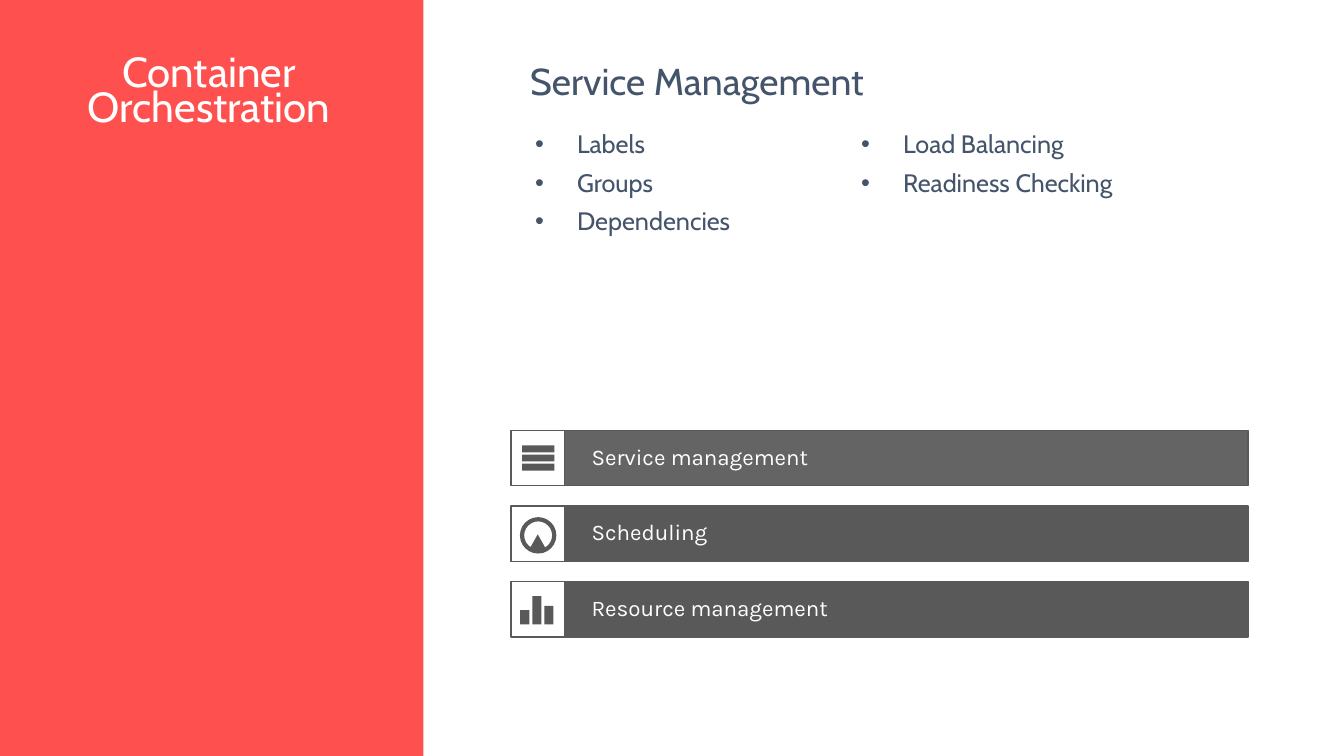
import pptx
import pptx.util
import pptx.dml.color
import pptx.enum.shapes
import pptx.enum.text
import pptx.oxml
import pptx.oxml.ns

Pt = pptx.util.Pt
RGBColor = pptx.dml.color.RGBColor
Shape = pptx.enum.shapes.MSO_SHAPE
Align = pptx.enum.text.PP_ALIGN
Anchor = pptx.enum.text.MSO_ANCHOR
AutoSize = pptx.enum.text.MSO_AUTO_SIZE

CORAL = RGBColor(0xFF, 0x50, 0x50)
WHITE = RGBColor(0xFF, 0xFF, 0xFF)
SLATE = RGBColor(0x44, 0x54, 0x6A)
GRAY = RGBColor(0x59, 0x59, 0x59)


def add_figure(shapes, kind, left, top, width, height, fill=None, line=None, line_width=1):
    shape = shapes.add_shape(kind, Pt(left), Pt(top), Pt(width), Pt(height))
    shape.shadow.inherit = False
    if fill is None:
        shape.fill.background()
    else:
        shape.fill.solid()
        shape.fill.fore_color.rgb = fill
    if line is None:
        shape.line.fill.background()
    else:
        shape.line.color.rgb = line
        shape.line.width = Pt(line_width)
    return shape


def set_transparency(shape, opacity):
    color = shape.fill._xPr.find(".//" + pptx.oxml.ns.qn("a:srgbClr"))
    color.append(pptx.oxml.parse_xml(
        f'<a:alpha {pptx.oxml.ns.nsdecls("a")} val="{opacity * 1000}"/>'))


def set_margins(frame, horizontal, vertical):
    frame.word_wrap = True
    frame.margin_left = frame.margin_right = Pt(horizontal)
    frame.margin_top = frame.margin_bottom = Pt(vertical)


def write(paragraph, text, font, size, color, spacing=0.9, after=0):
    paragraph.line_spacing = spacing
    paragraph.space_after = Pt(after)
    run = paragraph.add_run()
    run.text = text
    run.font.name = font
    run.font.size = Pt(size)
    run.font.color.rgb = color


def add_bullet(paragraph, indent):
    properties = paragraph._p.get_or_add_pPr()
    properties.set("marL", str(Pt(indent)))
    properties.set("indent", str(-Pt(indent)))
    namespace = pptx.oxml.ns.nsdecls("a")
    properties.append(pptx.oxml.parse_xml(f'<a:buFont {namespace} typeface="Arial"/>'))
    properties.append(pptx.oxml.parse_xml(f'<a:buChar {namespace} char="•"/>'))


def add_title_panel(slide, left, top, width, height):
    panel = add_figure(slide.shapes, Shape.RECTANGLE, left, top, width, height, CORAL)
    title = slide.shapes.title
    title.element.addprevious(panel.element)
    title.left, title.top = Pt(left + 44.6), Pt(top + 38.9)
    title.width, title.height = Pt(209.5), Pt(65.5)
    frame = title.text_frame
    frame.auto_size = AutoSize.NONE
    frame.vertical_anchor = Anchor.TOP
    set_margins(frame, 7.2, 3.6)
    paragraph = frame.paragraphs[0]
    paragraph.alignment = Align.CENTER
    write(paragraph, "Container Orchestration", "Cabin", 30, WHITE, 0.7)


def add_heading(slide, left, top, width, height, text):
    box = slide.shapes.add_textbox(Pt(left), Pt(top), Pt(width), Pt(height))
    set_margins(box.text_frame, 19.4, 15.1)
    write(box.text_frame.paragraphs[0], text, "Cabin", 26.7, SLATE, after=8)


def add_feature_columns(slide, left, top, width, height, columns):
    pitch = (width - 14.4) / len(columns)
    for index, features in enumerate(columns):
        box = slide.shapes.add_textbox(
            Pt(left + index * pitch), Pt(top), Pt(pitch + 14.4), Pt(height))
        frame = box.text_frame
        set_margins(frame, 7.2, 3.6)
        for number, feature in enumerate(features):
            paragraph = frame.add_paragraph() if number else frame.paragraphs[0]
            add_bullet(paragraph, 30)
            write(paragraph, feature, "Cabin", 18, SLATE, after=8)


def draw_stack_icon(shapes, left, top):
    for index in range(3):
        add_figure(shapes, Shape.RECTANGLE, left + 8, top + 10.8 + index * 6.5, 23, 5, GRAY)


def draw_gauge_icon(shapes, left, top):
    add_figure(shapes, Shape.OVAL, left + 7.9, top + 9.5, 23, 23, line=GRAY, line_width=3)
    add_figure(shapes, Shape.ISOSCELES_TRIANGLE, left + 12.6, top + 20.3, 13, 11.5, GRAY)


def draw_column_icon(shapes, left, top):
    for index, height in enumerate((10.1, 20.2, 13.2)):
        add_figure(shapes, Shape.RECTANGLE, left + 6.6 + index * 8.6, top + 30.6 - height,
                   6.5, height, GRAY)


def add_topic_row(slide, left, top, width, height, text, draw_icon, opacity):
    shapes = slide.shapes.add_group_shape().shapes
    icon_width = 38.2
    add_figure(shapes, Shape.RECTANGLE, left, top, icon_width, height, WHITE, GRAY)
    bar = add_figure(shapes, Shape.RECTANGLE, left + icon_width, top,
                     width - icon_width, height, GRAY, GRAY)
    if opacity < 100:
        set_transparency(bar, opacity)
    frame = bar.text_frame
    set_margins(frame, 19.4, 15.8)
    frame.vertical_anchor = Anchor.MIDDLE
    paragraph = frame.paragraphs[0]
    paragraph.alignment = Align.LEFT
    write(paragraph, text, "Karla", 16, WHITE)
    draw_icon(shapes, left, top)


def add_topics(slide, left, top, width):
    topics = (
        ("Service management", draw_stack_icon, 93),
        ("Scheduling", draw_gauge_icon, 100),
        ("Resource management", draw_column_icon, 100),
    )
    for index, (text, draw_icon, opacity) in enumerate(topics):
        add_topic_row(slide, left, top + index * 54, width, 39.6, text, draw_icon, opacity)


def main():
    presentation = pptx.Presentation()
    presentation.slide_width, presentation.slide_height = Pt(960), Pt(540)
    slide = presentation.slides.add_slide(presentation.slide_layouts[5])
    add_title_panel(slide, 0, 0, 302.4, 540)
    add_heading(slide, 359.3, 31, 320.4, 59.8, "Service Management")
    add_feature_columns(slide, 375.1, 90.7, 480.2, 118, (
        ("Labels", "Groups", "Dependencies"),
        ("Load Balancing", "Readiness Checking"),
    ))
    add_topics(slide, 365, 307.4, 526.4)
    presentation.save("out.pptx")


if __name__ == "__main__":
    main()
